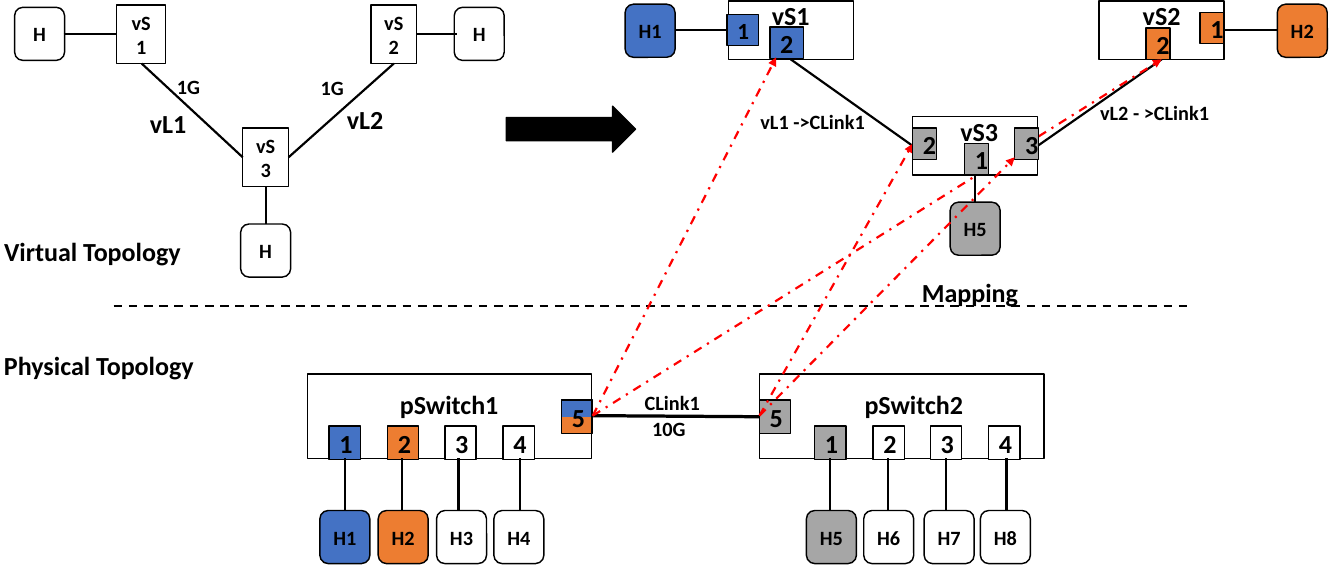
from lxml import etree
from pptx import Presentation
from pptx.dml.color import RGBColor
from pptx.enum.dml import MSO_LINE
from pptx.enum.shapes import MSO_CONNECTOR, MSO_SHAPE
from pptx.enum.text import MSO_ANCHOR, MSO_AUTO_SIZE, PP_ALIGN
from pptx.oxml.ns import qn
from pptx.util import Pt

PX = 9144  # EMU per px, 100 px to the inch
FONT = "Calibri"
BLACK, WHITE, RED = "000000", "FFFFFF", "FF0000"
BLUE, ORANGE, GRAY, PORT_GRAY = "4472C4", "ED7D31", "A6A6A6", "A5A5A5"
RECT, ROUND, ARROW = (MSO_SHAPE.RECTANGLE, MSO_SHAPE.ROUNDED_RECTANGLE,
                      MSO_SHAPE.RIGHT_ARROW)
STRAIGHT = MSO_CONNECTOR.STRAIGHT
DASH, DASH_DOT = MSO_LINE.DASH, MSO_LINE.DASH_DOT
CENTER, MIDDLE = PP_ALIGN.CENTER, MSO_ANCHOR.MIDDLE
FIT = MSO_AUTO_SIZE.SHAPE_TO_FIT_TEXT

HOST_W, HOST_H = 48, 51
SWITCH_W, SWITCH_H = 120, 56
PORT_PITCH = 55.7

# Each host: name, fill, left edge, x of its wire
SWITCH1_HOSTS = [("H1", BLUE, 307, 331), ("H2", ORANGE, 363, 386),
                 ("H3", WHITE, 419, 440), ("H4", WHITE, 474, 499)]
SWITCH2_HOSTS = [("H5", GRAY, 774, 797), ("H6", WHITE, 829, 852),
                 ("H7", WHITE, 887, 908), ("H8", WHITE, 941, 966)]

# Each label: text, left, top, width, font size
LABELS = [
    ("pSwitch1", 374, 368, 116, 18), ("pSwitch2", 820, 368, 116, 18),
    ("CLink1", 609, 370, 73, 14), ("10G", 616, 395, 52, 14),
    ("vL1 ->CLink1", 720, 100, 121, 14), ("vL2 - >CLink1", 1046, 91, 125, 14),
    ("Physical Topology", -6, 331, 204, 18),
    ("Virtual Topology", -6, 221, 191, 18), ("Mapping", 875, 260, 113, 18),
    ("vS1", 731, -5, 57, 18), ("vS2", 1087, -5, 57, 18),
    ("vS3", 912, 106, 57, 18), ("vL1", 134, 98, 56, 18),
    ("vL2", 323, 94, 55, 18), ("1G", 160, 66, 42, 14), ("1G", 298, 67, 42, 14),
]


def rgb(value):
    return RGBColor.from_string(value)


def set_text(tf, text, size):
    p = tf.paragraphs[0]
    p.text = text
    p.font.name = FONT
    p.font.size = Pt(size)
    p.font.bold = True
    p.font.color.rgb = rgb(BLACK)
    return p


def add_box(s, x, y, w, h, fill=WHITE, text="", size=18, kind=RECT, line=BLACK):
    """Add a filled shape with centred text; fill None leaves it hollow."""
    sp = s.shapes.add_shape(kind, x * PX, y * PX, w * PX, h * PX)
    sp.shadow.inherit = False
    if fill:
        sp.fill.solid()
        sp.fill.fore_color.rgb = rgb(fill)
    else:
        sp.fill.background()
    sp.line.color.rgb = rgb(line)
    sp.line.width = Pt(1)
    if text:
        sp.text_frame.vertical_anchor = MIDDLE
        set_text(sp.text_frame, text, size).alignment = CENTER


def add_host(s, x, y, text, fill=WHITE):
    add_box(s, x, y, HOST_W, HOST_H, fill, text, 14, ROUND)


def add_label(s, text, x, y, w, size):
    h = 40 if size == 18 else 34
    tf = s.shapes.add_textbox(x * PX, y * PX, w * PX, h * PX).text_frame
    tf.word_wrap = False
    tf.auto_size = FIT
    set_text(tf, text, size)


def add_line(s, x1, y1, x2, y2, width=1.5, color=BLACK, dash=None):
    c = s.shapes.add_connector(STRAIGHT, x1 * PX, y1 * PX, x2 * PX, y2 * PX)
    c.line.color.rgb = rgb(color)
    c.line.width = Pt(width)
    if dash:
        c.line.dash_style = dash
    etree.SubElement(c._element.spPr, qn("a:effectLst"))
    return c


def add_mapping(s, x1, y1, x2, y2):
    """Add a red dash-dot arrow from a physical to a virtual port."""
    c = add_line(s, x1, y1, x2, y2, color=RED, dash=DASH_DOT)
    etree.SubElement(c.line._get_or_add_ln(), qn("a:tailEnd"), type="triangle")


def add_port_hosts(s, first_port, hosts):
    for i, (name, fill, host_x, wire_x) in enumerate(hosts):
        port_x = round(first_port + i * PORT_PITCH)
        add_box(s, port_x, 409, 30, 32, fill, str(i + 1))
        add_host(s, host_x, 490, name, fill)
        add_line(s, wire_x, 440, wire_x, 490)


def draw_physical(s):
    add_box(s, 539, 399, 30, 16, ORANGE, line=ORANGE)
    add_box(s, 539, 384, 30, 16, BLUE, line=BLUE)
    add_box(s, 295, 359, 273, 81, None)
    add_box(s, 729, 359, 273, 81)
    add_line(s, 569, 399, 729, 400, 2.25)
    add_box(s, 539, 384, 30, 32, None, "5")
    add_box(s, 729, 384, 30, 32, PORT_GRAY, "5")
    add_port_hosts(s, 316, SWITCH1_HOSTS)
    add_port_hosts(s, 782, SWITCH2_HOSTS)


def draw_requested(s):
    """Draw the virtual topology on the left and the block arrow."""
    for name, x, y, w in [("vS1", 112, 5, 47), ("vS2", 356, 5, 44),
                          ("vS3", 233, 123, 44)]:
        add_box(s, x, y, w, 56, WHITE, name, 14)
    for x, y in [(14, 7), (231, 215), (436, 7)]:
        add_host(s, x, y, "H")
    for ends in [(136, 61, 233, 151), (277, 151, 378, 61), (61, 33, 112, 33),
                 (400, 33, 439, 33), (255, 215, 255, 179)]:
        add_line(s, *ends)
    add_box(s, 486, 102, 124, 44, BLACK, kind=ARROW)


def draw_mapped(s):
    """Draw the mapped virtual switches and the arrows that reach them."""
    for x in (699, 1055):
        add_box(s, x, 1, SWITCH_W, SWITCH_H)
    add_host(s, 600, 4, "H1", BLUE)
    add_host(s, 1226, 4, "H2", ORANGE)
    for ends in [(759, 57, 876, 140), (996, 140, 1115, 57),
                 (648, 29, 699, 29), (1175, 29, 1226, 29)]:
        add_line(s, *ends)
    add_box(s, 698, 14, 30, 30, BLUE, "1", 16)
    add_box(s, 739, 26, 32, 30, BLUE, "2")
    add_box(s, 1100, 27, 23, 30, ORANGE, "2")
    add_box(s, 1152, 12, 23, 30, ORANGE, "1")
    add_mapping(s, 569, 399, 745, 55)
    add_mapping(s, 729, 399, 876, 138)
    add_mapping(s, 569, 399, 1115, 57)
    add_box(s, 876, 112, SWITCH_W, SWITCH_H)
    add_host(s, 912, 194, "H5", GRAY)
    add_line(s, 936, 194, 936, 168)
    add_box(s, 876, 123, 23, 30, PORT_GRAY, "2")
    add_box(s, 974, 123, 23, 30, PORT_GRAY, "3")
    add_box(s, 926, 138, 23, 30, GRAY, "1")
    add_mapping(s, 729, 399, 974, 151)


def main():
    prs = Presentation()
    prs.slide_width, prs.slide_height = 1290 * PX, 550 * PX
    s = prs.slides.add_slide(prs.slide_layouts[6])
    draw_physical(s)
    add_line(s, 109, 294, 1146, 294, dash=DASH)
    draw_requested(s)
    draw_mapped(s)
    for label in LABELS:
        add_label(s, *label)
    prs.save("out.pptx")


if __name__ == "__main__":
    main()
